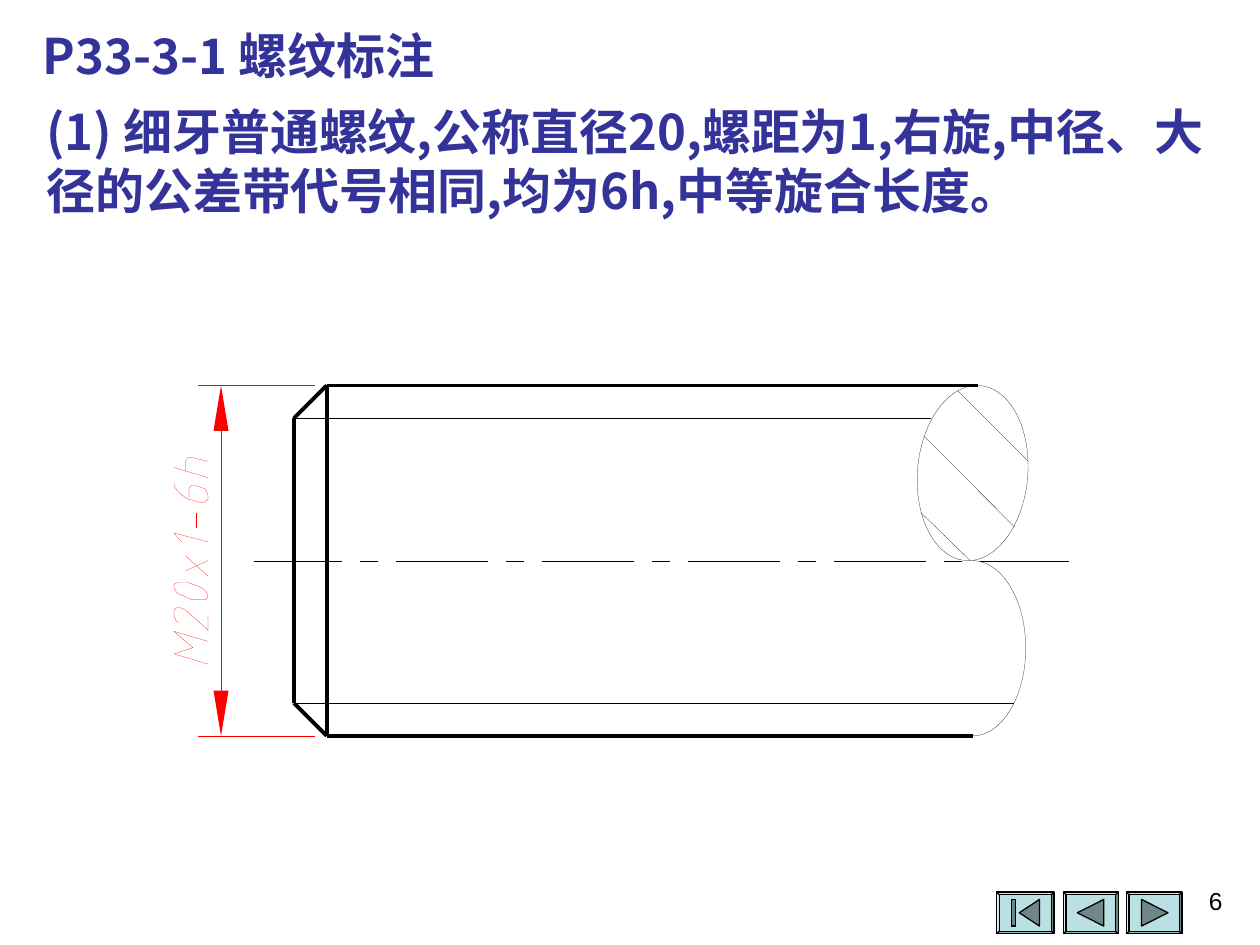
import math

from lxml import etree
from pptx import Presentation
from pptx.dml.color import RGBColor
from pptx.enum.shapes import MSO_CONNECTOR, MSO_SHAPE
from pptx.enum.text import MSO_ANCHOR, MSO_AUTO_SIZE, PP_ALIGN
from pptx.oxml.ns import qn
from pptx.util import Pt

STRAIGHT = MSO_CONNECTOR.STRAIGHT
BEVEL = MSO_SHAPE.BEVEL
TOP_ANCHOR = MSO_ANCHOR.TOP
FIT_TEXT = MSO_AUTO_SIZE.SHAPE_TO_FIT_TEXT
LEFT, RIGHT = PP_ALIGN.LEFT, PP_ALIGN.RIGHT

COLORS = {"heading": "333399", "ink": "000000", "dimension": "FF0000",
          "button": "BBE0E3", "icon": "708688"}
HEADING_FONT = "Noto Sans CJK SC"
HAIRLINE, THICK = 0.1, 2.25

AXIS, RADIUS, MINOR_RADIUS = 320.4, 100.1, 81.4
TOP, BOTTOM = AXIS - RADIUS, AXIS + RADIUS
MINOR_TOP, MINOR_BOTTOM = AXIS - MINOR_RADIUS, AXIS + MINOR_RADIUS
END_FACE, CHAMFER, BREAK = 168, 186.7, 555.8

DASH, DOT, GAP = 52.2, 10.4, 10.4
AXIS_START, AXIS_END, FIRST_DASH = 145.4, 610.6, 143.1

HATCHING = [(554.4, 320.4, 526.3, 293), (579.6, 301, 527.8, 249.1),
            (587.5, 263.5, 547.2, 223.2)]

LETTER_LEFT, LETTER_TOP, LETTER_UNIT = 99.4, 261.4, 0.72
LETTER_STROKES = [
    [(27, 164), (0, 156), (15, 151), (0, 138), (27, 146)],
    [(27, 125), (27, 137), (9, 121), (7, 120), (4, 119), (3, 119), (1, 120),
     (0, 122), (0, 125), (1, 128), (2, 130), (4, 131)],
    [(27, 110), (26, 107), (24, 105), (21, 103), (16, 101), (13, 100), (10, 99),
     (5, 99), (1, 100), (0, 101), (0, 103), (1, 105), (2, 107), (5, 109),
     (8, 110), (12, 112), (15, 113), (25, 113), (26, 112), (27, 110)],
    [(27, 94), (9, 78)],
    [(9, 90), (27, 82)],
    [(27, 67), (0, 60), (6, 67)],
    [(18, 56), (18, 44)],
    [(0, 21), (1, 24), (4, 28), (8, 31), (11, 33), (22, 36), (23, 36), (25, 35),
     (27, 33), (27, 30), (26, 27), (25, 25), (22, 24), (17, 22), (15, 22),
     (13, 23), (12, 25), (12, 32)],
    [(27, 16), (0, 8)],
    [(9, 11), (9, 3), (10, 2), (11, 0), (14, 0), (27, 3)],
]

BUTTON_TOP, BUTTON_HEIGHT, BUTTON_FRAME = 509.8, 23.8, 1.5
ICON_MIDDLE, ICON_HALF = 521.6, 7.6
BUTTONS = [(569.5, 32.8, 582.5, 594), (607.7, 31.3, 615.6, 630.7),
           (643.7, 31.7, 667.4, 652.3)]
BAR_LEFT, BAR_RIGHT = 578.2, 580.3


def rgb(name):
    return RGBColor.from_string(COLORS[name])


def add_line(parent, x1, y1, x2, y2, color, width=HAIRLINE):
    line = parent.shapes.add_connector(STRAIGHT, Pt(x1), Pt(y1), Pt(x2), Pt(y2))
    line.line.color.rgb = rgb(color)
    line.line.width = Pt(width)
    etree.SubElement(line._element.spPr, qn("a:effectLst"))


def add_outline(parent, points, line=None, fill=None, width=HAIRLINE, close=False):
    corners = [(Pt(x), Pt(y)) for x, y in points]
    builder = parent.shapes.build_freeform(*corners[0])
    builder.add_line_segments(corners[1:], close=close)
    shape = builder.convert_to_shape()
    shape.shadow.inherit = False
    if fill:
        shape.fill.solid()
        shape.fill.fore_color.rgb = rgb(fill)
    else:
        shape.fill.background()
    if line:
        shape.line.color.rgb = rgb(line)
        shape.line.width = Pt(width)
    else:
        shape.line.fill.background()


def write_text(box, text, size, font, color, bold=False, align=LEFT):
    frame = box.text_frame
    frame.word_wrap = True
    frame.vertical_anchor = TOP_ANCHOR
    para = frame.paragraphs[0]
    para.alignment = align
    para._p.get_or_add_pPr().set("hangingPunct", "0")
    span = para.add_run()
    span.text = text
    span.font.size = Pt(size)
    span.font.name = font
    span.font.bold = bold
    span.font.color.rgb = rgb(color)
    east_asian = etree.SubElement(span.font._element, qn("a:ea"))
    east_asian.set("typeface", font)
    return frame


def add_text_box(page, left, top, width, height):
    return page.shapes.add_textbox(Pt(left), Pt(top), Pt(width), Pt(height))


def add_heading(page):
    title = page.shapes.title
    title.left, title.top, title.width, title.height = Pt(17.3), Pt(10.8), Pt(274.3), Pt(41)
    body = add_text_box(page, 19.4, 54.7, 680.4, 108)
    texts = [(title, "P33-3-1 螺纹标注"),
             (body, "(1) 细牙普通螺纹,公称直径20,螺距为1,右旋,中径、大径的公差带代号相同,均为6h,中等旋合长度。")]
    for box, text in texts:
        frame = write_text(box, text, 28, HEADING_FONT, "heading", bold=True)
        frame.auto_size = FIT_TEXT


def ellipse_points(center_x, center_y, half_width, half_height, start, end, skew=0):
    points = []
    for degrees in range(start, end + 1, 3):
        angle = math.radians(degrees)
        points.append((center_x + half_width * math.cos(angle),
                       center_y - half_height * math.sin(angle + skew)))
    return points


def add_center_line(group):
    start = FIRST_DASH
    while start < AXIS_END:
        add_line(group, max(start, AXIS_START), AXIS, min(start + DASH, AXIS_END), AXIS, "ink")
        dot = start + DASH + GAP
        if dot < AXIS_END:
            add_line(group, dot, AXIS, dot + DOT, AXIS, "ink")
        start = dot + DOT + GAP


def add_threaded_rod(page):
    group = page.shapes.add_group_shape()
    half = RADIUS / 2
    lower_arc = ellipse_points(BREAK, AXIS + half, 30.4, half, -90, 90)
    section = ellipse_points(BREAK, AXIS - half, 31.7, half, 0, 357, skew=0.08)
    add_outline(group, lower_arc, line="ink")
    add_outline(group, section, line="ink", close=True)
    thick_lines = [(CHAMFER, BOTTOM, BREAK, BOTTOM), (CHAMFER, TOP, 558.7, TOP),
                   (CHAMFER, BOTTOM, CHAMFER, TOP),
                   (END_FACE, MINOR_BOTTOM, END_FACE, MINOR_TOP),
                   (END_FACE, MINOR_BOTTOM, CHAMFER, BOTTOM),
                   (END_FACE, MINOR_TOP, CHAMFER, TOP)]
    for ends in thick_lines:
        add_line(group, *ends, "ink", THICK)
    add_line(group, END_FACE, MINOR_TOP, 532.1, MINOR_TOP, "ink")
    add_line(group, END_FACE, MINOR_BOTTOM, 579.6, MINOR_BOTTOM, "ink")
    for ends in HATCHING:
        add_line(group, *ends, "ink")
    add_center_line(group)


def add_dimension(page):
    group = page.shapes.add_group_shape()
    middle, length, half_width = 126.3, 25.9, 4.3
    add_line(group, middle, TOP + length, middle, BOTTOM - length, "dimension")
    for tip, base in [(TOP, TOP + length), (BOTTOM, BOTTOM - length)]:
        add_line(group, 180, tip, 113, tip, "dimension")
        arrow = [(middle - half_width, base), (middle + half_width, base), (middle, tip)]
        add_outline(group, arrow, fill="dimension", close=True)
    for stroke in LETTER_STROKES:
        points = [(LETTER_LEFT + x * LETTER_UNIT, LETTER_TOP + y * LETTER_UNIT)
                  for x, y in stroke]
        if len(points) == 2:
            add_line(group, *points[0], *points[1], "dimension")
        else:
            add_outline(group, points, line="dimension")


def add_navigation(page):
    upper, lower = ICON_MIDDLE - ICON_HALF, ICON_MIDDLE + ICON_HALF
    for left, width, tip, base in BUTTONS:
        button = page.shapes.add_shape(BEVEL, Pt(left), Pt(BUTTON_TOP), Pt(width), Pt(BUTTON_HEIGHT))
        button.adjustments[0] = BUTTON_FRAME / BUTTON_HEIGHT
        button.shadow.inherit = False
        button.fill.solid()
        button.fill.fore_color.rgb = rgb("button")
        button.line.color.rgb = rgb("ink")
        button.line.width = Pt(0.75)
        triangle = [(tip, ICON_MIDDLE), (base, upper), (base, lower)]
        add_outline(page, triangle, "ink", "icon", 0.75, True)
    bar = [(BAR_LEFT, upper), (BAR_RIGHT, upper), (BAR_RIGHT, lower), (BAR_LEFT, lower)]
    add_outline(page, bar, "ink", "icon", 0.75, True)


def main():
    deck = Presentation()
    deck.slide_width, deck.slide_height = Pt(720), Pt(540)
    page = deck.slides.add_slide(deck.slide_layouts[5])
    add_navigation(page)
    add_heading(page)
    add_threaded_rod(page)
    add_dimension(page)
    number = add_text_box(page, 537.8, 502.6, 167.8, 37.4)
    write_text(number, "6", 14, "Arial", "ink", align=RIGHT)
    deck.save("out.pptx")


if __name__ == "__main__":
    main()
